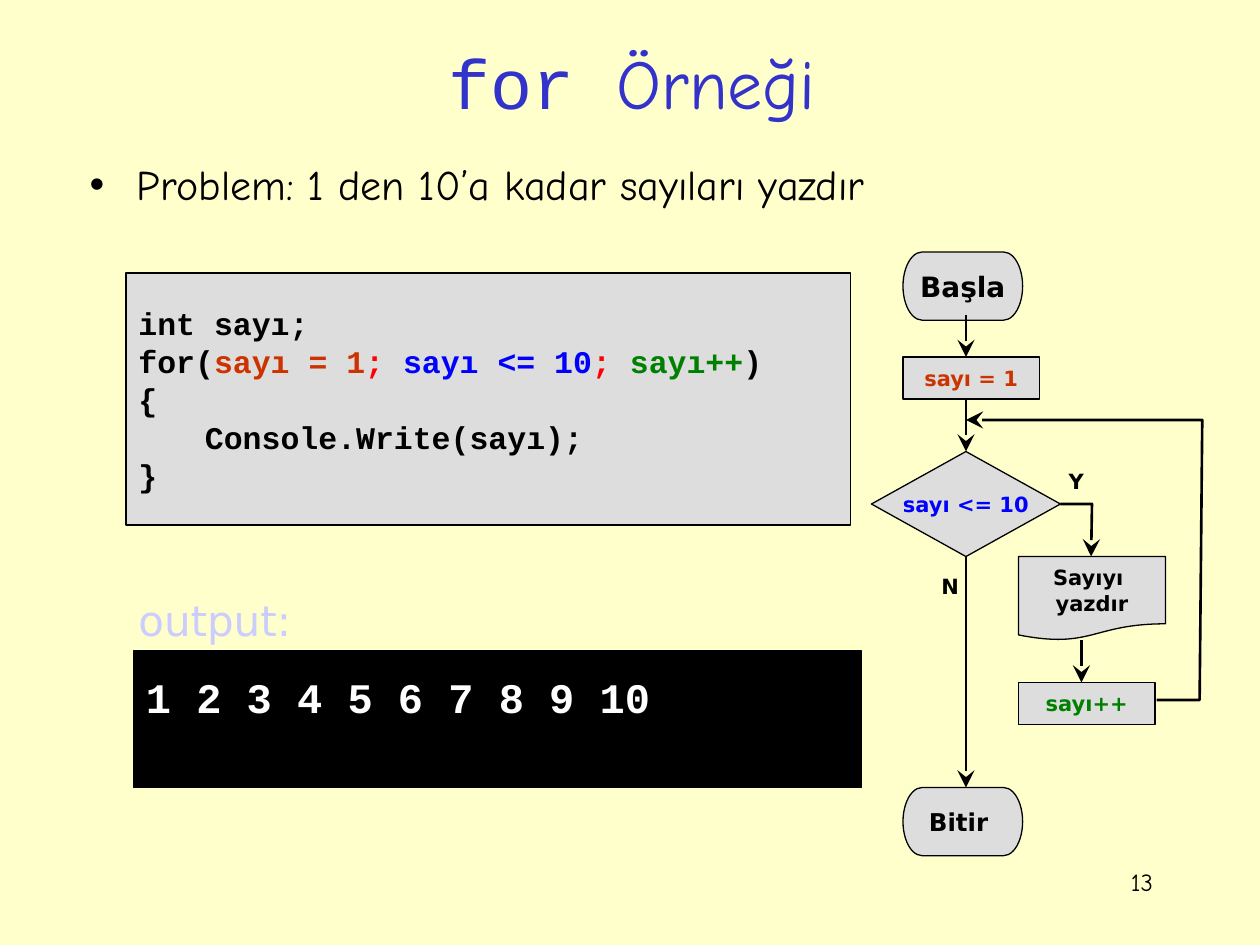
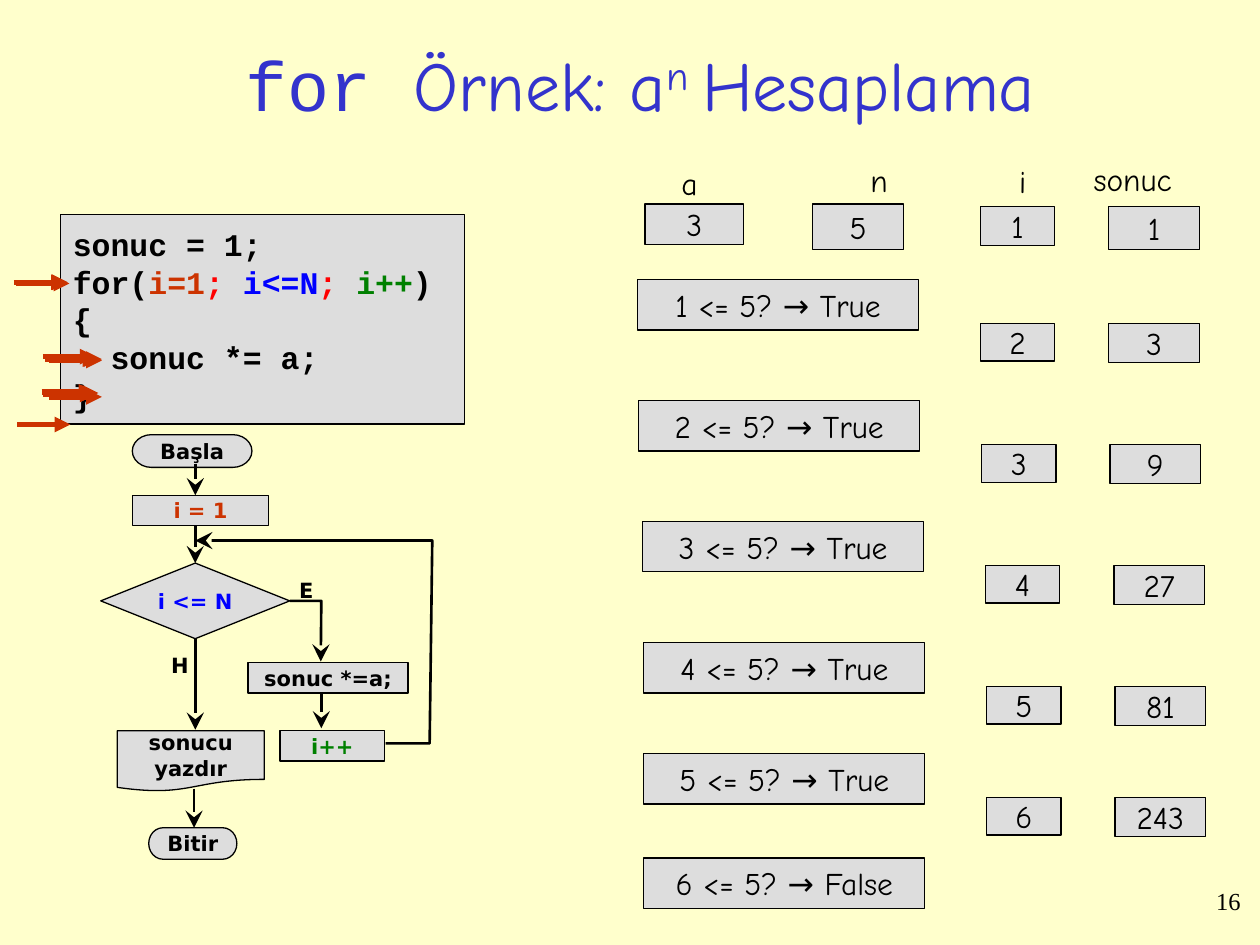
import pptx
import pptx.dml.color
import pptx.enum.shapes
import pptx.enum.text
import pptx.oxml
import pptx.oxml.ns
import pptx.util

Pt = pptx.util.Pt
RGB = pptx.dml.color.RGBColor
SHAPE = pptx.enum.shapes.MSO_SHAPE
ALIGN = pptx.enum.text.PP_ALIGN
ANCHOR = pptx.enum.text.MSO_ANCHOR
FIT = pptx.enum.text.MSO_AUTO_SIZE

CREAM = RGB(0xFF, 0xFF, 0xCC)
GREY = RGB(0xDD, 0xDD, 0xDD)
BLACK = RGB(0, 0, 0)
WHITE = RGB(0xFF, 0xFF, 0xFF)
INDIGO = RGB(0x33, 0x33, 0xCC)
LILAC = RGB(0xCC, 0xCC, 0xFF)
RUST = RGB(0xCC, 0x33, 0)
RED = RGB(0xFF, 0, 0)
BLUE = RGB(0, 0, 0xFF)
GREEN = RGB(0, 0x80, 0)

# Font formats, set attribute by attribute
MONO, COMIC, SANS = "Courier New", "Comic Neue", "DejaVu Sans"
HEAD = {"name": COMIC, "size": Pt(40), "bold": False}
LIST = {"name": COMIC, "size": Pt(24)}
CODE = {"name": MONO, "size": Pt(18), "bold": True}
SHOW = {"name": MONO, "size": Pt(24), "bold": True}
NOTE = {"name": SANS, "size": Pt(24)}
STEP = {"name": SANS, "size": Pt(12), "bold": True}
CELL = {"name": COMIC, "size": Pt(18)}

OVAL = SHAPE.FLOWCHART_TERMINATOR
STAGE = SHAPE.FLOWCHART_PROCESS
TEST = SHAPE.FLOWCHART_DECISION
PAPER = SHAPE.FLOWCHART_DOCUMENT


def points(values):
    """Turn plain numbers into lengths in points."""
    return [Pt(value) for value in values]


def add_run(para, text, form, ink):
    """Add a run with the font format and colour."""
    run = para.add_run()
    run.text = text
    for key, value in form.items():
        setattr(run.font, key, value)
    run.font.color.rgb = ink
    return run


def write(frame, lines, form, ink=BLACK, align=ALIGN.LEFT):
    """Fill a frame; a line is a string or a list of (text, colour)."""
    for row, line in enumerate(lines):
        para = frame.paragraphs[0] if row == 0 else frame.add_paragraph()
        para.alignment = align
        parts = [(line, ink)] if isinstance(line, str) else line
        for text, tone in parts:
            add_run(para, text, form, tone)


def add_text(slide, place, text, form, ink=BLACK, align=ALIGN.LEFT, wrap=True):
    """Add a plain text box."""
    frame = slide.shapes.add_textbox(*points(place)).text_frame
    frame.word_wrap = wrap
    write(frame, [text], form, ink, align)


def add_box(slide, kind, place, lines, form, ink=BLACK, align=ALIGN.CENTER,
            fill=GREY):
    """Add a filled, outlined shape with text in its middle."""
    box = slide.shapes.add_shape(kind, *points(place))
    box.shadow.inherit = False
    box.fill.solid()
    box.fill.fore_color.rgb = fill
    box.line.color.rgb = BLACK
    box.line.width = Pt(0.75)
    frame = box.text_frame
    frame.word_wrap = False
    frame.vertical_anchor = ANCHOR.MIDDLE
    write(frame, lines, form, ink, align)
    return frame


def add_code(slide, place, first, loop, body, inset):
    """Add the listing of a for loop, its three parts in colour."""
    start, check, step = loop
    header = [("for(", BLACK), (start, RUST), ("; ", RED), (check, BLUE),
              ("; ", RED), (step, GREEN), (")", BLACK)]
    frame = add_box(slide, SHAPE.RECTANGLE, place,
                    [first, header, "{", body, "}"], CODE, align=ALIGN.LEFT)
    props = frame.paragraphs[3]._p.get_or_add_pPr()
    props.set("marL", str(Pt(inset)))


def add_arrow(slide, stops, ink=BLACK, width=1.5, head="stealth", size="lg"):
    """Draw an arrow through the stops: a connector or a bent outline."""
    spots = [points(stop) for stop in stops]
    if len(spots) == 2:
        kind = pptx.enum.shapes.MSO_CONNECTOR.STRAIGHT
        arrow = slide.shapes.add_connector(kind, *spots[0], *spots[1])
    else:
        pen = slide.shapes.build_freeform(*spots[0])
        pen.add_line_segments(spots[1:], close=False)
        arrow = pen.convert_to_shape()
        arrow.fill.background()
    arrow.line.color.rgb = ink
    arrow.line.width = Pt(width)
    props = arrow._element.spPr
    line = props.find(pptx.oxml.ns.qn("a:ln"))
    space = pptx.oxml.ns.nsdecls("a")
    line.append(pptx.oxml.parse_xml(
        f'<a:tailEnd {space} type="{head}" w="{size}" len="{size}"/>'))
    props.append(pptx.oxml.parse_xml(f"<a:effectLst {space}/>"))


def add_flow(slide, nodes, wires, marks):
    """Draw a flow chart: shapes, arrows and branch letters."""
    for kind, place, lines, ink, size in nodes:
        add_box(slide, kind, place, lines, {**STEP, "size": Pt(size)}, ink)
    for stops in wires:
        add_arrow(slide, stops)
    for text, left, top in marks:
        add_text(slide, (left, top, 30, 22), text, STEP, align=ALIGN.CENTER)


def place_item(item, place):
    """Move a placeholder to its place."""
    for key, value in zip(("left", "top", "width", "height"), points(place)):
        setattr(item, key, value)


def new_slide(deck, layout, place, title, number, spot, font):
    """Add a slide with its title and page number."""
    slide = deck.slides.add_slide(deck.slide_layouts[layout])
    head = slide.shapes.title
    place_item(head, place)
    frame = head.text_frame
    frame.auto_size = FIT.SHAPE_TO_FIT_TEXT
    frame.vertical_anchor = ANCHOR.BOTTOM
    para = frame.paragraphs[0]
    para.alignment = ALIGN.CENTER
    add_run(para, "for ", {**HEAD, "name": MONO}, INDIGO)
    for text, base in title:
        run = add_run(para, text, HEAD, INDIGO)
        if base:
            run.font._element.set("baseline", str(base * 1000))
    add_text(slide, (*spot, 150, 36), number,
             {"name": font, "size": Pt(14)}, align=ALIGN.RIGHT)
    return slide


def count_slide(deck):
    """Build the slide that prints the numbers from 1 to 10."""
    slide = new_slide(deck, 1, (52, 18.7, 618.5, 55.4), [("Örneği", 0)],
                      "13", (516, 492), COMIC)
    body = slide.placeholders[1]
    place_item(body, (44, 87, 631.5, 50.4))
    write(body.text_frame, ["Problem: 1 den 10’a kadar sayıları yazdır"], LIST)

    add_code(slide, (72, 156, 414, 144), "int sayı;",
             ("sayı = 1", "sayı <= 10", "sayı++"), "Console.Write(sayı);", 38)
    frame = add_box(slide, SHAPE.RECTANGLE, (76.3, 372, 416, 78),
                    ["1 2 3 4 5 6 7 8 9 10"], SHOW, WHITE, ALIGN.LEFT, BLACK)
    frame.vertical_anchor = ANCHOR.TOP
    frame.margin_top = Pt(11.7)
    add_text(slide, (72, 336, 105, 36.7), "output:", NOTE, LILAC, wrap=False)

    axis = 552
    add_flow(slide, [
        (OVAL, (516, 144, 68.4, 39), ["Başla"], BLACK, 16),
        (STAGE, (516, 204, 78, 24), ["sayı = 1"], RUST, 12),
        (TEST, (498, 258, 108, 60), ["sayı <= 10"], BLUE, 12),
        (PAPER, (582, 318, 84, 48), ["Sayıyı ", "yazdır"], BLACK, 12),
        (STAGE, (582, 390, 78, 24), ["sayı++"], GREEN, 12),
        (OVAL, (516, 450, 68.4, 39), ["Bitir "], BLACK, 14),
    ], [
        [(axis, 180), (axis, 204)],
        [(axis, 228), (axis, 258)],
        [(axis, 318), (axis, 450)],
        [(606, 288), (624, 288), (623.5, 318)],
        [(618, 366), (618, 390)],
        [(661, 400), (685.5, 400), (687, 240), (axis, 240)],
    ], [("Y", 600, 264), ("N", 528, 324)])


def add_trace(slide):
    """Draw the variables and each check with the values it leads to."""
    def cell(place, text):
        add_box(slide, SHAPE.RECTANGLE, place, [text], CELL)

    for text, left, top, width, wrap in [
            ("a", 382.3, 90, 24, False), ("n", 490.3, 88.6, 24, False),
            ("i", 575.3, 89.3, 16, True), ("sonuc", 617.8, 87.8, 85, True)]:
        add_text(slide, (left, top, width, 28.8), text, CELL, wrap=wrap)
    base, power = 3, 5
    cell((368.6, 116.6, 56.2, 23), str(base))
    cell((464.4, 116.6, 51.8, 26), str(power))
    cell((560.2, 118, 42.5, 22.3), "1")
    cell((633.6, 118, 51.8, 24.5), "1")

    tops = [159.8, 229, 298, 367.2, 430.6, 490.3]
    shifts = [0, 0.7, 2.9, 3.6, 3.6, 3.6]
    for turn, (top, shift) in enumerate(zip(tops, shifts), 1):
        true = turn <= power
        cell((364.3 + shift, top, 160.6, 28.8),
             f"{turn} <= {power}? → {true}")
        if true:
            cell((560.2 + shift, top + 25, 42.5, 21.6), str(turn + 1))
            cell((633.6 + shift, top + 25, 51.8, 22.3), str(base ** turn))


def power_slide(deck):
    """Build the slide that computes a power."""
    slide = new_slide(deck, 5, (52, 20.2, 628, 55.4),
                      [("Örnek: a", 0), ("n ", 30), ("Hesaplama", 0)],
                      "16", (566, 502.6), "Times New Roman")
    add_code(slide, (34.5, 122.4, 231, 120), "sonuc = 1;",
             ("i=1", "i<=N", "i++"), "sonuc *= a;", 21.6)

    axis, side = 111.6, 183.6
    add_flow(slide, [
        (OVAL, (75.6, 248.4, 68.4, 18.7), ["Başla"], BLACK, 12),
        (STAGE, (75.6, 283, 78, 17.3), ["i = 1"], RUST, 12),
        (TEST, (57.6, 321.8, 108, 43.2), ["i <= N"], BLUE, 12),
        (STAGE, (141.8, 378.7, 91.4, 17.3), ["sonuc *=a;"], BLACK, 12),
        (STAGE, (160, 417.6, 59.8, 17.3), ["i++"], GREEN, 12),
        (PAPER, (67, 417.6, 84, 34.6), ["sonucu", "yazdır"], BLACK, 12),
        (OVAL, (85, 473, 50.4, 18), ["Bitir"], BLACK, 12),
    ], [
        [(axis, 265), (axis, 283)],
        [(axis, 300.3), (axis, 321.8)],
        [(axis, 365), (axis, 417)],
        [(110.9, 450.7), (110.9, 473)],
        [(165.6, 343.4), (side, 343.4), (183.3, 378)],
        [(side, 396.7), (side, 416.2)],
        [(220.3, 424.8), (245.5, 424.8), (247, 308.9), (axis, 308.9)],
    ], [("E", 160, 326.2), ("H", 87.8, 369.4)])
    add_trace(slide)

    marks = [(28, 206), (28, 226.8), (9.4, 162), (28, 205.2), (24.5, 225.4),
             (26.6, 205.2), (25.2, 224.6), (26, 205.2), (26, 224.6),
             (8.6, 161.3), (24.5, 203.8), (23.8, 224), (8, 161.3), (10, 242.6)]
    for left, top in marks:
        add_arrow(slide, [(left, top), (left + 30.2, top)], RUST, 3,
                  "triangle", "med")


def main():
    """Build both slides and save them."""
    deck = pptx.Presentation()
    deck.slide_width, deck.slide_height = Pt(720), Pt(540)
    fill = deck.slide_master.background.fill
    fill.solid()
    fill.fore_color.rgb = CREAM
    count_slide(deck)
    power_slide(deck)
    deck.save("out.pptx")


main()
